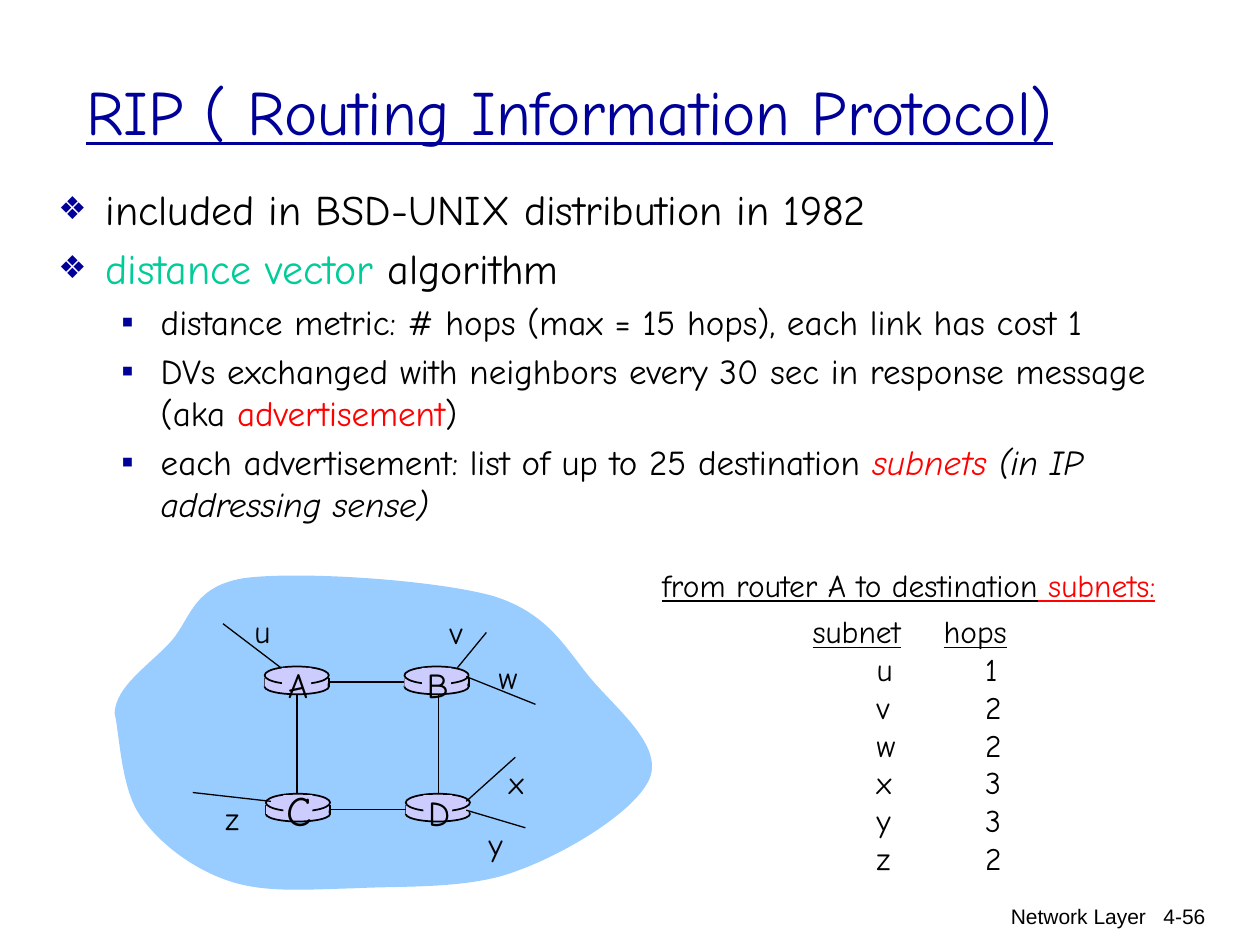
from dataclasses import dataclass
from itertools import chain
from typing import NamedTuple

from lxml.etree import SubElement
from pptx import Presentation
from pptx.dml.color import RGBColor
from pptx.enum.shapes import MSO_CONNECTOR as Connector, MSO_SHAPE as Shape
from pptx.enum.text import MSO_ANCHOR as Anchor, MSO_AUTO_SIZE as AutoSize, PP_ALIGN as Align
from pptx.oxml.ns import qn
from pptx.util import Emu, Pt

# The page is a grid of 100 columns by 75 rows of square cells.
COLUMNS, ROWS, CELL = 100, 75, 91440


@dataclass(frozen=True)
class Theme:
    ink: str = "000000"
    navy: str = "000099"
    green: str = "00CC99"
    red: str = "FF0000"
    cloud: str = "99CCFF"
    router: str = "CCCCFF"
    hand: str = "Comic Neue"
    plain: str = "Arial"
    title: int = 36
    body: int = 24
    detail: int = 20
    label: int = 18
    footer: int = 12
    line: float = 1
    spoke: float = 0.75


THEME = Theme()


class Span(NamedTuple):
    text: str
    color: str = THEME.ink
    italic: bool = False
    underline: bool = False


class Box(NamedTuple):
    left: float
    top: float
    width: float
    height: float


class Router(NamedTuple):
    name: str
    column: int
    row: int
    size: int = THEME.detail
    lift: float = 0.7
    sides: tuple = (0, 5.1)

    @property
    def left(self) -> float:
        return 21 + 11.1 * self.column + 0.1 * self.row

    @property
    def top(self) -> float:
        return 52.9 + 10.1 * self.row


class Spoke(NamedTuple):
    subnet: str
    start: tuple
    end: tuple
    label: tuple
    hops: int


class Bullet(NamedTuple):
    level: int
    spans: list


class BulletStyle(NamedTuple):
    mark: str
    percent: int
    size: int
    margin: float
    hanging: float


BULLET_STYLES = [BulletStyle("❖", 75, THEME.body, 3.75, 3.75),
                 BulletStyle("▪", 100, THEME.detail, 8.13, 3.13)]
BULLETS = [
    Bullet(0, [Span("included in BSD-UNIX distribution in 1982")]),
    Bullet(0, [Span("distance vector ", THEME.green), Span("algorithm")]),
    Bullet(1, [Span("distance metric: # hops (max = 15 hops), each link has cost 1")]),
    Bullet(1, [Span("DVs exchanged with neighbors every 30 sec in response message (aka "),
               Span("advertisement", THEME.red), Span(")")]),
    Bullet(1, [Span("each advertisement: list of up to 25 destination "),
               Span("subnets ", THEME.red, italic=True),
               Span("(in IP addressing sense)", italic=True)]),
]
ROUTERS = [Router("A", 0, 0), Router("B", 1, 0),
           Router("C", 0, 1, THEME.body, 1.2), Router("D", 1, 1, sides=(0,))]
SPOKES = [
    Spoke("u", (22.3, 53), (17.7, 49.5), (19.2, 48.1), 1),
    Spoke("v", (36.3, 53), (38.6, 50.2), (34.7, 48.2), 2),
    Spoke("w", (37, 53.7), (42.5, 55.9), (38.6, 51.7), 2),
    Spoke("x", (37, 63.6), (40.9, 60.1), (39.4, 60.1), 3),
    Spoke("y", (37, 64.3), (41.7, 65.7), (37.8, 65), 3),
    Spoke("z", (21.5, 63.6), (15.3, 62.9), (16.9, 62.9), 2),
]
CLOUD_START = (9.1, 56.6)
CLOUD_CURVES = [  # two handles and an end point each
    ((9.2, 54.5), (11.7, 52.9), (13.4, 51.1)),
    ((15.1, 49.4), (15.1, 46.6), (19.3, 45.9)),
    ((23.6, 45.3), (34.4, 46), (39.1, 47.3)),
    ((43.7, 48.7), (45, 51.7), (47.1, 54.1)),
    ((49.2, 56.5), (52.5, 59.2), (51.6, 61.7)),
    ((50.6, 64.3), (45, 67.7), (41.1, 69.1)),
    ((37.3, 70.6), (32.1, 70.3), (28.3, 70.5)),
    ((24.4, 70.6), (21, 70.9), (18.1, 69.9)),
    ((15.2, 68.9), (12.6, 66.9), (11.1, 64.7)),
    ((9.6, 62.5), (9.5, 58.3), CLOUD_START),
]


def cells(count: float) -> Emu:
    return Emu(round(count * CELL))


def write(para, spans: list, size: int, face: str = THEME.hand) -> None:
    for span in spans:
        run = para.add_run()
        run.text = span.text
        formats = {"name": face, "size": Pt(size), "italic": span.italic,
                   "underline": span.underline}
        for key, value in formats.items():
            setattr(run.font, key, value)
        run.font.color.rgb = RGBColor.from_string(span.color)


def add_text(page, box: Box, spans: list, size: int, face: str = THEME.hand,
             align=Align.LEFT, wrap: bool = False):
    frame = page.shapes.add_textbox(*map(cells, box)).text_frame
    frame.word_wrap = wrap
    frame.paragraphs[0].alignment = align
    write(frame.paragraphs[0], spans, size, face)
    return frame


def next_para(frame, index: int):
    return frame.add_paragraph() if index else frame.paragraphs[0]


def paint(shape, fill: str, outlined: bool = False) -> None:
    shape.shadow.inherit = False
    shape.fill.solid()
    shape.fill.fore_color.rgb = RGBColor.from_string(fill)
    if outlined:
        shape.line.color.rgb = RGBColor.from_string(THEME.ink)
        shape.line.width = Pt(THEME.line)
    else:
        shape.line.fill.background()


def add_solid(page, kind, box: Box, outlined: bool = False):
    shape = page.shapes.add_shape(kind, *map(cells, box))
    paint(shape, THEME.router, outlined)
    return shape


def add_line(page, start: tuple, end: tuple, width: float = THEME.line):
    line = page.shapes.add_connector(Connector.STRAIGHT, *map(cells, (*start, *end)))
    line.line.color.rgb = RGBColor.from_string(THEME.ink)
    line.line.width = Pt(width)
    SubElement(line._element.spPr, qn("a:effectLst"))
    return line


def add_router(page, router: Router):
    """Draw the drum and return the band between its two ellipses."""
    left, top = router.left, router.top
    add_solid(page, Shape.OVAL, Box(left, top + 1, 5.1, 1.2), True)
    for side in router.sides:
        add_line(page, (left + side, top + 0.9), (left + side, top + 1.6))
    band = add_solid(page, Shape.RECTANGLE, Box(left, top + 0.9, 5, 0.7))
    add_solid(page, Shape.OVAL, Box(left, top, 5.1, 1.4), True)
    return band


def add_router_name(page, router: Router) -> None:
    add_solid(page, Shape.RECTANGLE, Box(router.left + 1.4, router.top + 0.1, 2.3, 1.9))
    add_text(page, Box(router.left + 0.65, router.top - router.lift, 4, 4.3),
             [Span(router.name)], router.size, align=Align.CENTER)


def add_cloud(page) -> None:
    """Outline the curves' points, then turn every three line ends into one curve."""
    builder = page.shapes.build_freeform(*map(cells, CLOUD_START))
    builder.add_line_segments([tuple(map(cells, point)) for point in chain(*CLOUD_CURVES)])
    cloud = builder.convert_to_shape()
    steps = list(cloud._element.iter(qn("a:lnTo")))
    for index in range(0, len(steps), 3):
        first, *others = steps[index:index + 3]
        first.tag = qn("a:cubicBezTo")
        for step in others:
            first.append(step[0])
            step.getparent().remove(step)
    paint(cloud, THEME.cloud)


def add_network(page) -> None:
    add_cloud(page)
    bands = [add_router(page, router) for router in ROUTERS]
    for index in (0, 1):
        upper, lower = ROUTERS[index], ROUTERS[index + 2]
        middle = upper.left + 2.6 + 0.1 * index
        add_line(page, (middle, upper.top + 2.3), (middle, lower.top))
        link = add_line(page, (0, 0), (1, 1))
        link.begin_connect(bands[2 * index], 3)
        link.end_connect(bands[2 * index + 1], 1)
    for router in ROUTERS:
        add_router_name(page, router)
    for spoke in SPOKES:
        add_line(page, spoke.start, spoke.end, THEME.spoke)
    for spoke in SPOKES:
        add_text(page, Box(*spoke.label, 3.4, 4), [Span(spoke.subnet)], THEME.label)


def add_bullets(page) -> None:
    frame = add_text(page, Box(3.64, 14.1, 91.5, 18.5), [], THEME.body, wrap=True)
    for index, bullet in enumerate(BULLETS):
        style = BULLET_STYLES[bullet.level]
        para = next_para(frame, index)
        para.level = bullet.level
        para.space_before = Pt(style.size * 0.2 if index else 0)
        properties = para._p.get_or_add_pPr()
        properties.set("marL", str(cells(style.margin)))
        properties.set("indent", str(-cells(style.hanging)))
        SubElement(SubElement(properties, qn("a:buClr")), qn("a:srgbClr"), val=THEME.navy)
        SubElement(properties, qn("a:buSzPct"), val=str(style.percent * 1000))
        SubElement(properties, qn("a:buFont"), typeface=THEME.plain)
        SubElement(properties, qn("a:buChar"), char=style.mark)
        write(para, bullet.spans, style.size)


def add_hops(page) -> None:
    frame = add_text(page, Box(63.5, 48.1, 18.2, 25), [], THEME.label, wrap=True)
    header = [Span("subnet", underline=True), Span("\t"), Span("hops", underline=True)]
    lines = [((10.4,), header)]
    lines += [((5.1, 13.7), [Span(f"\t{spoke.subnet}\t{spoke.hops}")]) for spoke in SPOKES]
    for index, (stops, spans) in enumerate(lines):
        para = next_para(frame, index)
        tabs = SubElement(para._p.get_or_add_pPr(), qn("a:tabLst"))
        for stop in stops:
            SubElement(tabs, qn("a:tab"), pos=str(cells(stop)), algn="l")
        write(para, spans, THEME.label)
    add_text(page, Box(51.57, 44.4, 46.2, 4),
             [Span("from router A to destination", underline=True),
              Span(" subnets:", THEME.red, underline=True)], THEME.label)


def add_title(page, text: str) -> None:
    title = page.shapes.title
    place = Box(5.84, 2.5, 89.4, 12.5)
    for key, value in zip(place._fields, place):
        setattr(title, key, cells(value))
    frame = title.text_frame
    frame.auto_size, frame.vertical_anchor = AutoSize.NONE, Anchor.MIDDLE
    frame.paragraphs[0].alignment = Align.LEFT
    write(frame.paragraphs[0], [Span(text, THEME.navy, underline=True)], THEME.title)


def main() -> None:
    deck = Presentation()
    deck.slide_width, deck.slide_height = cells(COLUMNS), cells(ROWS)
    page = deck.slides.add_slide(deck.slide_layouts[5])
    for text, box in (("Network Layer", Box(60.25, 71.2, 31.7, 4.1)),
                      ("4-56", Box(89.25, 71.2, 7.4, 3.8))):
        add_text(page, box, [Span(text)], THEME.footer, THEME.plain, Align.RIGHT, True)
    add_title(page, "RIP ( Routing Information Protocol)")
    add_bullets(page)
    add_network(page)
    add_hops(page)
    deck.save("out.pptx")


if __name__ == "__main__":
    main()
